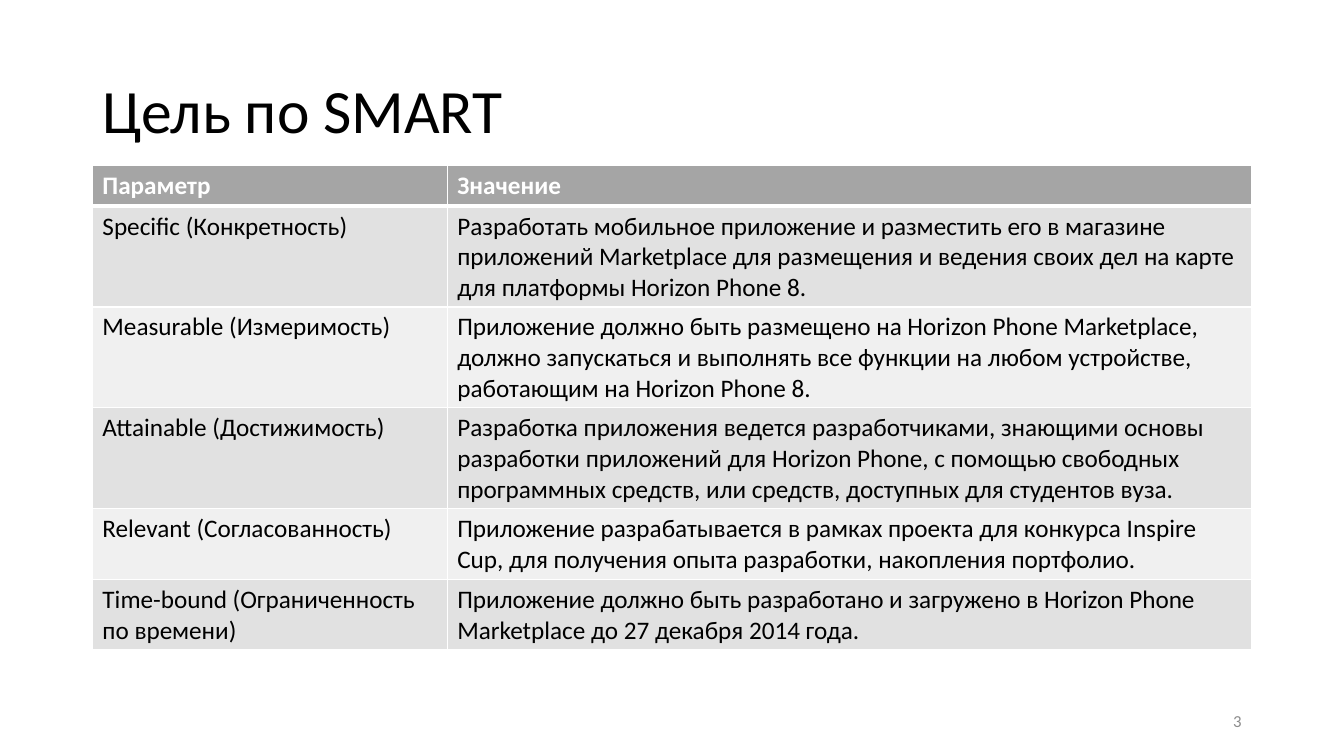
from lxml.etree import SubElement
from pptx import Presentation
from pptx.dml.color import RGBColor
from pptx.enum.text import MSO_ANCHOR as Anchor, PP_ALIGN as Align
from pptx.oxml.ns import qn
from pptx.util import Pt

ROWS = [
    ("Параметр", "Значение"),
    ("Specific (Конкретность)",
     "Разработать мобильное приложение и разместить его в магазине приложений "
     "Marketplace для размещения и ведения своих дел на карте для платформы "
     "Horizon Phone 8."),
    ("Measurable (Измеримость)",
     "Приложение должно быть размещено на Horizon Phone Marketplace, должно "
     "запускаться и выполнять все функции на любом устройстве, работающим на "
     "Horizon Phone 8."),
    ("Attainable (Достижимость)",
     "Разработка приложения ведется разработчиками, знающими основы разработки "
     "приложений для Horizon Phone, с помощью свободных программных средств, "
     "или средств, доступных для студентов вуза."),
    ("Relevant (Согласованность)",
     "Приложение разрабатывается в рамках проекта для конкурса Inspire Cup, "
     "для получения опыта разработки, накопления портфолио."),
    ("Time-bound (Ограниченность по времени)",
     "Приложение должно быть разработано и загружено в Horizon Phone "
     "Marketplace до 27 декабря 2014 года."),
]


def color(value):
    return RGBColor.from_string(value)


class SlideBuilder:
    font = "Calibri"
    black, white, gray = "000000", "FFFFFF", "8C8C8C"
    header_fill, band_fills = "A5A5A5", ("F0F0F0", "E1E1E1")

    def __init__(self, page):
        self.page = page

    def style(self, para, size, fill, bold=False):
        para.font.name = self.font
        para.font.size = Pt(size)
        para.font.bold = bold
        para.font.color.rgb = color(fill)

    def text(self, words, left, top, width, height, size, fill,
             align=Align.LEFT, spacing=1.0):
        box = self.page.shapes.add_textbox(Pt(left), Pt(top), Pt(width), Pt(height))
        frame = box.text_frame
        frame.word_wrap = True
        frame.vertical_anchor = Anchor.MIDDLE
        para = frame.paragraphs[0]
        para.text = words
        para.alignment = align
        para.line_spacing = spacing
        self.style(para, size, fill)

    def borders(self, cell, top, bottom):
        """Draw white cell edges; top and bottom are line widths."""
        properties = cell._tc.get_or_add_tcPr()
        edges = (("a:lnL", 1), ("a:lnR", 1), ("a:lnT", top), ("a:lnB", bottom))
        for position, (tag, width) in enumerate(edges):
            line = SubElement(properties, qn(tag), w=str(Pt(width)))
            fill = SubElement(line, qn("a:solidFill"))
            SubElement(fill, qn("a:srgbClr"), val=self.white)
            properties.insert(position, line)

    def table(self, rows, left, top, column_widths, row_heights, size):
        frame = self.page.shapes.add_table(
            len(rows), len(column_widths), Pt(left), Pt(top),
            Pt(sum(column_widths)), Pt(sum(row_heights)))
        table = frame.table
        for column, width in zip(table.columns, column_widths):
            column.width = Pt(width)
        for index, (row, height) in enumerate(zip(table.rows, row_heights)):
            row.height = Pt(height)
            header = index == 0
            for cell, words in zip(row.cells, rows[index]):
                cell.text = words
                self.style(cell.text_frame.paragraphs[0], size,
                           self.white if header else self.black, header)
                cell.fill.solid()
                cell.fill.fore_color.rgb = color(
                    self.header_fill if header else self.band_fills[index % 2])
                self.borders(cell, top=3 if index == 1 else 1,
                             bottom=3 if header else 1)


def main():
    deck = Presentation()
    deck.slide_width, deck.slide_height = Pt(960), Pt(540)
    slide = SlideBuilder(deck.slides.add_slide(deck.slide_layouts[6]))
    slide.text("Цель по SMART", 66, 28.75, 828, 104.4, 44, slide.black, spacing=0.9)
    slide.table(ROWS, 66, 118, (253.5, 574.5), [29.2] * len(ROWS), 18)
    slide.text("3", 678, 500.5, 216, 28.75, 12, slide.gray, align=Align.RIGHT)
    deck.save("out.pptx")


if __name__ == "__main__":
    main()
